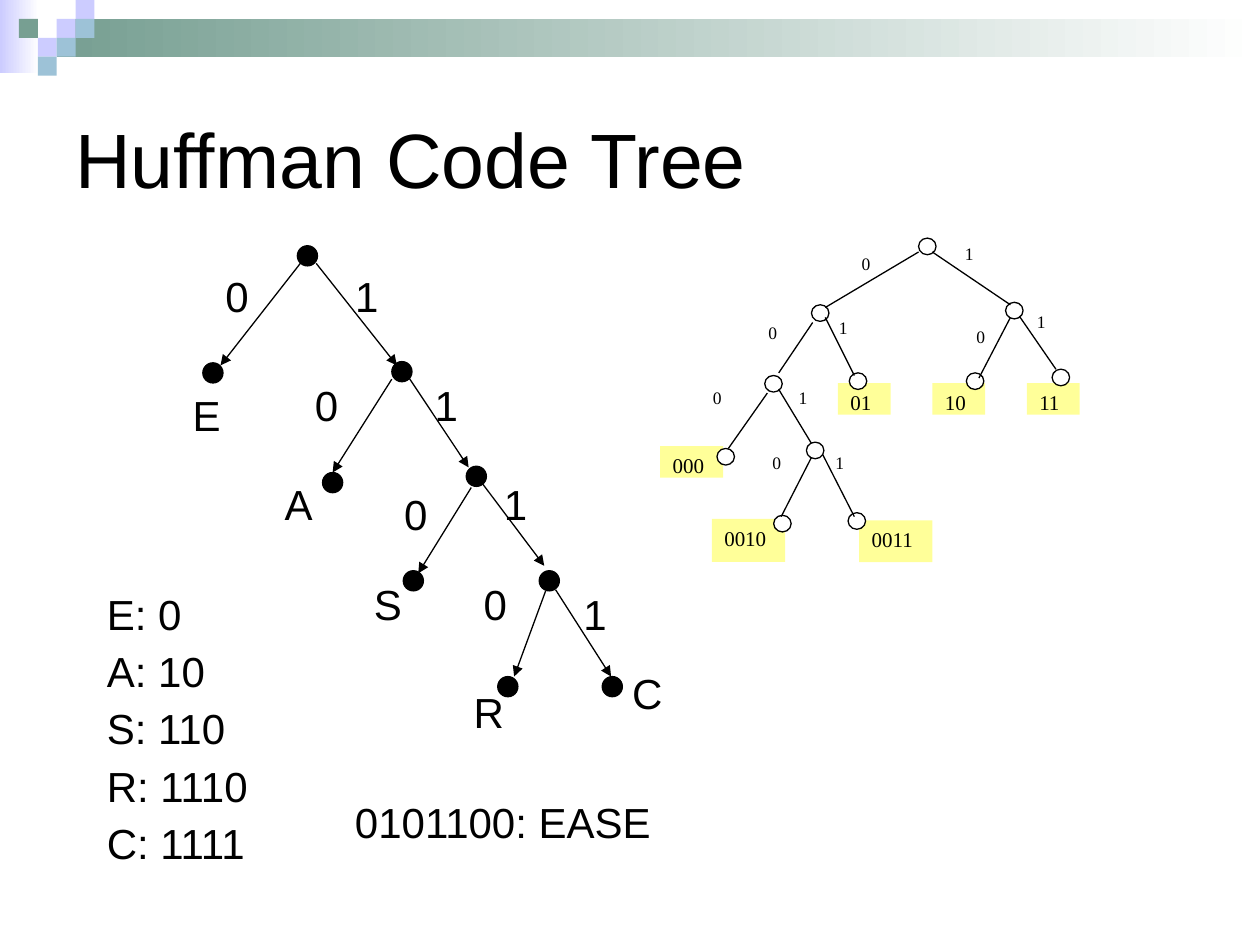
from pptx import Presentation
from pptx import util as u
from pptx.dml.color import RGBColor
from pptx.enum import shapes, text
from pptx.oxml import parse_xml
from pptx.oxml.ns import nsdecls
from lxml import etree

Pt = u.Pt
BLACK = RGBColor(0x00, 0x00, 0x00)
WHITE = RGBColor(0xFF, 0xFF, 0xFF)
LAVENDER = RGBColor(0xCC, 0xCC, 0xFF)
GREEN = RGBColor(0x77, 0x9F, 0x92)
BLUE = RGBColor(0x9D, 0xC2, 0xD7)
YELLOW = RGBColor(0xFF, 0xFF, 0x99)
SANS, SERIF = "Arial", "Times New Roman"


def add_shape(s, kind, x, y, w, h, fill, line=None):
    """A list of two colours as fill gives a gradient from left to right."""
    sp = s.shapes.add_shape(kind, Pt(x), Pt(y), Pt(w), Pt(h))
    sp.shadow.inherit = False
    if isinstance(fill, list):
        sp.fill.gradient()
        sp.fill.gradient_angle = 0
        for stop, color in zip(sp.fill.gradient_stops, fill):
            stop.color.rgb = color
    else:
        sp.fill.solid()
        sp.fill.fore_color.rgb = fill
    if line is None:
        sp.line.fill.background()
    else:
        sp.line.color.rgb = line
        sp.line.width = Pt(0.75)
    return sp


def write(sp, lines, size, font=SANS, before=0, anchor=text.MSO_ANCHOR.TOP):
    tf = sp.text_frame
    tf.word_wrap = True
    tf.vertical_anchor = anchor
    tf.text = lines
    for p in tf.paragraphs:
        p.alignment = text.PP_ALIGN.LEFT
        p.space_before = Pt(before)
        for r in p.runs:
            r.font.size = Pt(size)
            r.font.name = font
            r.font.color.rgb = BLACK


def add_text(s, x, y, w, h, lines, size, **style):
    write(s.shapes.add_textbox(Pt(x), Pt(y), Pt(w), Pt(h)), lines, size, **style)


def add_edge(s, x1, y1, x2, y2, arrow):
    cn = s.shapes.add_connector(shapes.MSO_CONNECTOR.STRAIGHT,
                                Pt(x1), Pt(y1), Pt(x2), Pt(y2))
    cn.line.color.rgb = BLACK
    cn.line.width = Pt(0.75)
    if arrow:
        ln = cn.line._get_or_add_ln()
        ln.append(parse_xml(f'<a:tailEnd type="triangle" {nsdecls("a")}/>'))
    sp_pr = cn._element.spPr
    etree.SubElement(sp_pr, "{http://schemas.openxmlformats.org/drawingml/2006/main}effectLst")


def add_tree(s, x, y, nodes, node_size, node_fill, edges, arrow, bits, bit_box, size, font):
    """Nodes are given by centre, edges by end points, bits by top left corner."""
    w, h = node_size
    for cx, cy in nodes:
        add_shape(s, shapes.MSO_SHAPE.OVAL, x + cx - w / 2, y + cy - h / 2, w, h,
                  node_fill, BLACK)
    for x1, y1, x2, y2 in edges:
        add_edge(s, x + x1, y + y1, x + x2, y + y2, arrow)
    for label, places in bits.items():
        for dx, dy in places:
            add_text(s, x + dx, y + dy, *bit_box, label, size, font=font)


def header_band(s, x, y, w):
    rect = shapes.MSO_SHAPE.RECTANGLE
    cell = 10.8
    add_shape(s, rect, x, y, 22.3, 41.8, [LAVENDER, WHITE])
    add_shape(s, rect, x + 3 * cell, y + cell, w - 3 * cell, 2 * cell, [GREEN, WHITE])
    # Mosaic squares by column and row
    squares = [(3, 1, LAVENDER), (4, 0, LAVENDER), (4, 1, BLUE), (2, 2, LAVENDER),
               (1, 1, GREEN), (3, 2, BLUE), (2, 3, BLUE)]
    for col, row, color in squares:
        add_shape(s, rect, x + col * cell, y + row * cell, cell, cell, color)


def letter_tree(s, x, y):
    nodes = [(75.7, 6.2), (21.7, 73.1), (129.7, 72.4), (90.1, 135.8), (172.2, 132.2),
             (136.2, 191.9), (213.9, 191.9), (190.2, 252.4), (249.9, 252.4)]
    edges = [(72.8, 9, 26, 68.8), (80.7, 10.5, 126.8, 68.8),
             (123.9, 76.7, 90.1, 130), (133.3, 75.3, 167.8, 127.1),
             (169.3, 138.6, 139, 187.6), (175.8, 136.5, 211, 183.3),
             (211.8, 197.7, 193.8, 246.6), (217.5, 197, 249.2, 246.6)]
    labels = {
        "0": [(21.7, 11.2), (72.8, 73.1), (123.9, 135.8), (169.3, 186.9)],
        "1": [(95.8, 11.2), (141.2, 73.1), (180.8, 130), (226.2, 192.6)],
        "E": [(3, 78.9)], "A": [(55.5, 130)], "S": [(106.6, 186.9)],
        "R": [(163.5, 248.8)], "C": [(254.2, 238)],
    }
    add_tree(s, x, y, nodes, (11.5, 11.5), BLACK, edges, True, labels, (62, 36), 24, SANS)


def code_tree(s, x, y):
    # Leaf codes on yellow
    leaves = [("0010", 30.8, 162.6, 41.8, 24.5), ("0011", 115, 163.4, 41.8, 23.8),
              ("000", 1.3, 120.9, 36, 18)]
    leaves += [(code, 102.8 + 54 * i, 84.9, 30.2, 18)
               for i, code in enumerate(("01", "10", "11"))]
    for code, dx, dy, w, h in leaves:
        sp = add_shape(s, shapes.MSO_SHAPE.RECTANGLE, x + dx, y + dy, w, h, YELLOW)
        write(sp, code, 12, font=SERIF)

    nodes = [(153.9, 6.8), (92.7, 44.9), (203.6, 43.5), (66, 85.3), (114.3, 83.8),
             (181.2, 83.8), (230.2, 81.7), (38.7, 127), (89.8, 123.4),
             (71.1, 165.2), (113.6, 163.7)]
    edges = [(148.9, 10, 95.6, 41.7), (156.8, 10, 201.4, 40.2),
             (88.4, 50.3, 69, 79.1), (95.6, 47.4, 112.2, 80.6),
             (201.4, 47.4, 183.4, 82), (206.5, 46.7, 227.4, 77),
             (62.5, 90.6, 40.2, 122.3), (69, 88.5, 87.7, 119.4),
             (87.7, 127.4, 70.4, 161.2), (94.2, 125.9, 112.2, 161.2)]
    bits = {
        "0": [(109.3, 7.1), (56, 46.7), (174.8, 48.9), (24.3, 83.4), (58.2, 120.9)],
        "1": [(168.3, 1.4), (96.3, 43.8), (209.4, 40.2), (73.3, 83.4), (94.2, 120.9)],
    }
    add_tree(s, x, y, nodes, (10, 9.5), WHITE, edges, False, bits, (38, 38), 10, SERIF)


def code_list(s, x, y):
    codes = ["E: 0", "A: 10", "S: 110", "R: 1110", "C: 1111"]
    add_text(s, x, y, 158, 163.4, "\n".join(codes), 24, before=4)
    # Decoded example
    add_text(s, x + 141.8, y + 118.8, 232, 36, "0101100: EASE", 24)


def main():
    prs = Presentation()
    prs.slide_width, prs.slide_height = Pt(720), Pt(540)
    s = prs.slides.add_slide(prs.slide_layouts[6])
    header_band(s, 0, 0, 720)
    add_text(s, 36, 36, 648, 108, "Huffman Code Tree", 44, anchor=text.MSO_ANCHOR.MIDDLE)
    letter_tree(s, 100, 140)
    code_list(s, 54, 332.6)
    code_tree(s, 376, 134)
    prs.save("out.pptx")


if __name__ == "__main__":
    main()
